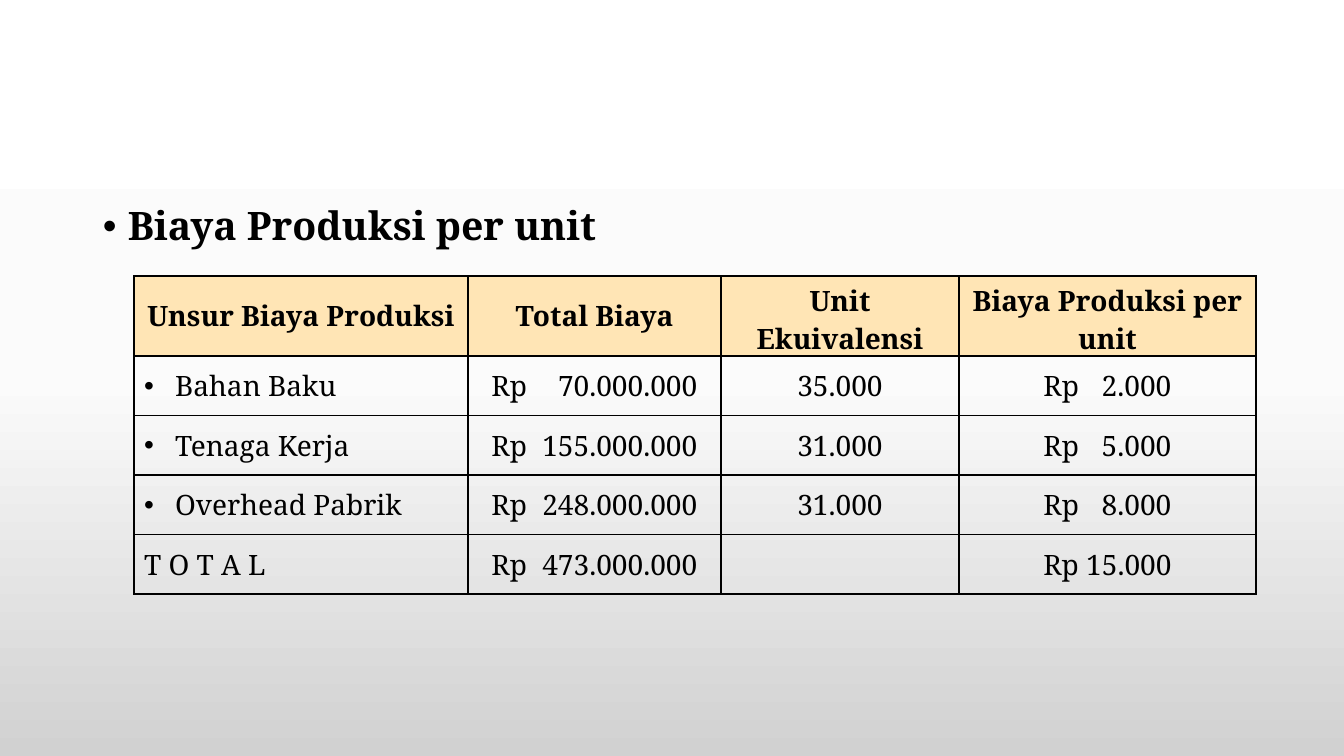
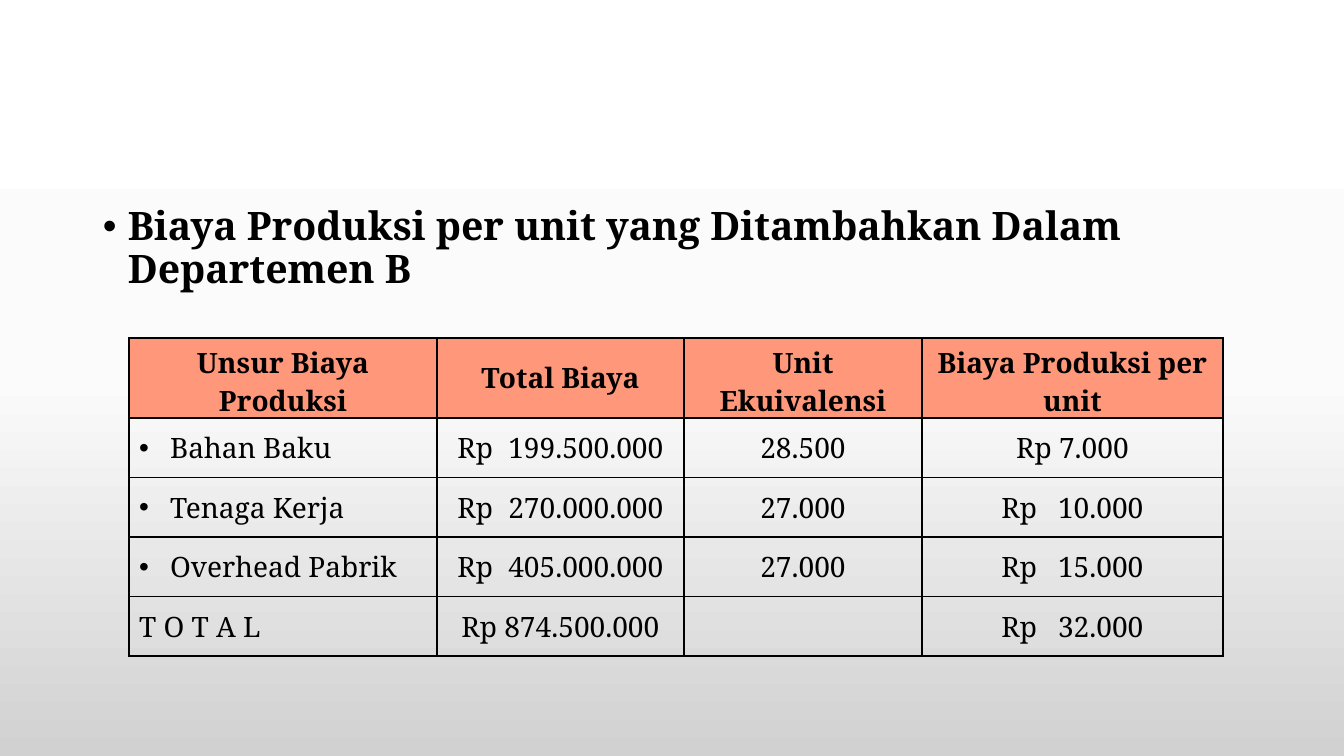
from copy import deepcopy
from pptx import Presentation
from pptx.dml.color import RGBColor as Rgb
from pptx.enum.text import MSO_ANCHOR as Anchor, PP_ALIGN as Align
from pptx.oxml.ns import qn
from pptx.oxml.xmlchemy import OxmlElement as Node
from pptx.util import Pt

BLACK = Rgb(0, 0, 0)
SAND = Rgb(0xFF, 0xE5, 0xB5)
CORAL = Rgb(0xFF, 0x97, 0x7A)
FADE = [
    (0, Rgb(0xFF, 0xFF, 0xFF)),
    (0.5, Rgb(0xFB, 0xFB, 0xFB)),
    (1, Rgb(0xD1, 0xD1, 0xD1)),
]
FACE = "Noto Serif"
HEADS = ["Unsur Biaya Produksi", "Total Biaya", "Unit Ekuivalensi", "Biaya Produksi per unit"]
ITEMS = ["Bahan Baku", "Tenaga Kerja", "Overhead Pabrik"]
HEAD_H, BODY_H = 80, 238

PAGES = [
    dict(
        title="Biaya Produksi per unit",
        tint=SAND, left=134, top=276,
        cols=[334, 253, 238, 297],
        spans={1: 206, 3: 128},
        costs=[
            ("Rp\t70.000.000", "35.000", "Rp\t2.000"),
            ("Rp\t155.000.000", "31.000", "Rp\t5.000"),
            ("Rp\t248.000.000", "31.000", "Rp\t8.000"),
            ("Rp\t473.000.000", "", "Rp 15.000"),
        ],
    ),
    dict(
        title="Biaya Produksi per unit yang Ditambahkan Dalam Departemen B",
        tint=CORAL, left=129, top=338,
        cols=[308, 247, 238, 301],
        spans={1: 206, 3: 142},
        costs=[
            ("Rp\t199.500.000", "28.500", "Rp 7.000"),
            ("Rp\t270.000.000", "27.000", "Rp\t10.000"),
            ("Rp\t405.000.000", "27.000", "Rp\t15.000"),
            ("Rp 874.500.000", "", "Rp\t32.000"),
        ],
    ),
]


def px(n):
    return round(n * 914400 / 100.8)


def add(parent, tag, **attrs):
    node = Node(tag)
    for key, val in attrs.items():
        node.set(key, str(val))
    parent.append(node)
    return node


def style(para, size, bold):
    font = para.font
    font.name, font.size, font.bold = FACE, Pt(size), bold
    font.color.rgb = BLACK


def bullet(para, indent):
    props = para._p.get_or_add_pPr()
    props.set("marL", str(px(indent)))
    props.set("indent", str(-px(indent)))
    add(props, "a:buFont", typeface="Arial")
    add(props, "a:buChar", char="•")


def ledger(cell, para, width, span):
    cell.margin_left = px((width - span) / 2)
    cell.margin_right = 0
    tabs = add(para._p.get_or_add_pPr(), "a:tabLst")
    add(tabs, "a:tab", pos=px(span), algn="r")


def border(cell):
    props = cell._tc.get_or_add_tcPr()
    for side in "LRTB":
        line = add(props, "a:ln" + side, w=Pt(1))
        add(add(line, "a:solidFill"), "a:srgbClr", val=BLACK)


def backdrop(master):
    fill = master.background.fill
    fill.gradient()
    fill.gradient_angle = 270
    stops = master.element.find(".//" + qn("a:gsLst"))
    stops.append(deepcopy(stops[0]))
    for stop, (pos, tone) in zip(fill.gradient_stops, FADE):
        stop.position = pos
        stop.color.rgb = tone


def heading(slide, text):
    frame = slide.shapes.add_textbox(px(93), px(202), px(1159), px(480)).text_frame
    frame.word_wrap = True
    para = frame.paragraphs[0]
    para.text = text
    bullet(para, 25)
    para.line_spacing = 0.9
    para.space_before = Pt(10)
    style(para, 28, True)


def table(slide, page):
    cols = page["cols"]
    names = ITEMS + ["T O T A L"]
    rows = [HEADS] + [(name, *cost) for name, cost in zip(names, page["costs"])]
    grid = slide.shapes.add_table(
        len(rows), len(cols), px(page["left"]), px(page["top"]),
        px(sum(cols)), px(HEAD_H + BODY_H)).table
    grid.first_row = grid.horz_banding = False
    for col, width in zip(grid.columns, cols):
        col.width = px(width)
    for r, row in enumerate(rows):
        grid.rows[r].height = px(BODY_H / len(names) if r else HEAD_H)
        for c, text in enumerate(row):
            cell = grid.cell(r, c)
            cell.vertical_anchor = Anchor.MIDDLE
            border(cell)
            if r:
                cell.fill.background()
            else:
                cell.fill.solid()
                cell.fill.fore_color.rgb = page["tint"]
            para = cell.text_frame.paragraphs[0]
            para.text = text
            if text in ITEMS:
                bullet(para, 31)
            elif "\t" in text:
                ledger(cell, para, cols[c], page["spans"][c])
            elif c or not r:
                para.alignment = Align.CENTER
            style(para, 20, r == 0)


def main():
    deck = Presentation()
    deck.slide_width, deck.slide_height = px(1344), px(756)
    backdrop(deck.slide_master)
    for page in PAGES:
        slide = deck.slides.add_slide(deck.slide_layouts[6])
        heading(slide, page["title"])
        table(slide, page)
    deck.save("out.pptx")


if __name__ == "__main__":
    main()
